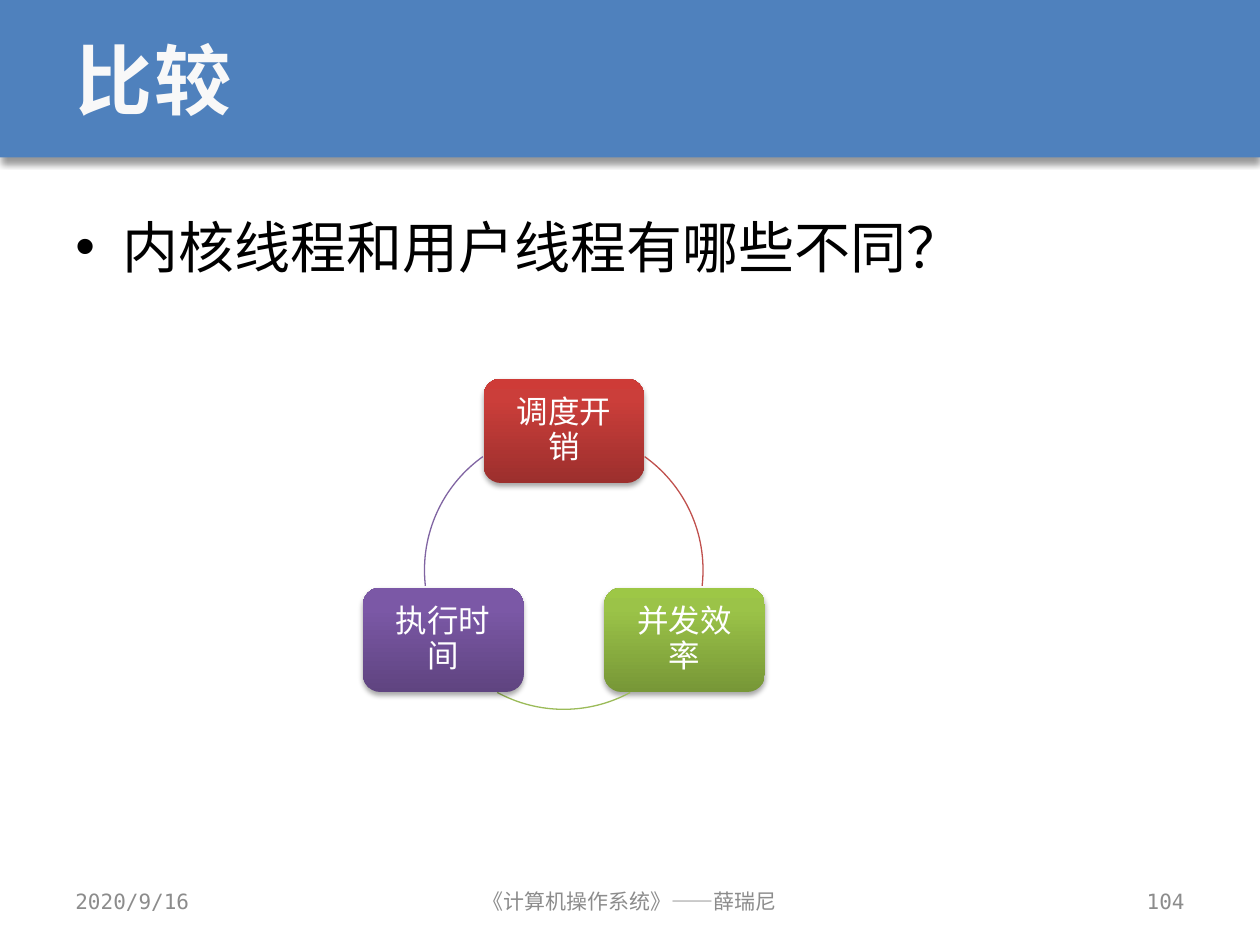
import copy
import math

from lxml import etree
from pptx import Presentation
from pptx import util as u
from pptx.dml.color import RGBColor
from pptx.enum import shapes, text
from pptx.oxml.ns import qn

# Content
TITLE = "比较"
QUESTION = "内核线程和用户线程有哪些不同？"
# label, gradient (bottom to top), arc colour, direction from centre, arc start and end
ASPECTS = [
    ("调度开销", ("9C2F2D", "CB3E3A", "CE3B37"), "C0504D", -90, (305.5, 6.5)),
    ("并发效率", ("779737", "9BC348", "9DC746"), "9BBB59", 30, (61.5, 118.5)),
    ("执行时间", ("5F4480", "7B58A6", "7C57A8"), "8064A2", 150, (173.5, 234.5)),
]
LEFT, CENTER, RIGHT = text.PP_ALIGN.LEFT, text.PP_ALIGN.CENTER, text.PP_ALIGN.RIGHT
FOOTER = [
    ("2020/9/16", 36, 168, LEFT),
    ("《计算机操作系统》——薛瑞尼", 246, 228, CENTER),
    ("104", 516, 168, RIGHT),
]

MONO = "DejaVu Sans Mono"
THEME = {
    "banner": "4F81BD",
    "title": {"name": MONO, "size": 44, "color": "F8F8F8", "bold": True},
    "question": {"name": MONO, "size": 32, "color": "000000"},
    "footer": {"name": MONO, "size": 12, "color": "8C8C8C"},
    "aspect": {"name": "Arial", "size": 18, "color": "FFFFFF"},
    # blur, distance, opacity in percent
    "banner_shadow": (4, 3, 40),
    "aspect_shadow": (3.1, 1.8, 35),
}

# Layout, in points
SLIDE_W, SLIDE_H, BANNER_H = 720, 540, 90
CYCLE_X, CYCLE_Y, CYCLE_R = 322.2, 325.8, 79.6
ASPECT_W, ASPECT_H = 91.8, 59.7
STOPS = (0, 0.8, 1)


def place(*lengths):
    return [u.Pt(length) for length in lengths]


def write(frame, words, style, align=LEFT, anchor=text.MSO_ANCHOR.MIDDLE):
    frame.word_wrap = True
    frame.vertical_anchor = anchor
    line = frame.paragraphs[0]
    line.alignment = align
    run = line.add_run()
    run.text = words
    formats = dict(style, size=u.Pt(style["size"]))
    run.font.color.rgb = RGBColor.from_string(formats.pop("color"))
    for key, value in formats.items():
        setattr(run.font, key, value)
    return line


def add_text(box, *args, **kwargs):
    return write(slide.shapes.add_textbox(*place(*box)).text_frame, *args, **kwargs)


def drop_shadow(shape, blur, distance, opacity):
    shape.shadow.inherit = False
    effects = shape._element.spPr.find(qn("a:effectLst"))
    shadow = etree.SubElement(effects, qn("a:outerShdw"), blurRad=str(u.Pt(blur)),
                              dist=str(u.Pt(distance)), dir="5400000", rotWithShape="0")
    color = etree.SubElement(shadow, qn("a:srgbClr"), val="000000")
    etree.SubElement(color, qn("a:alpha"), val=str(opacity * 1000))


def fill_gradient(shape, colors):
    shape.fill.gradient()
    shape.fill.gradient_angle = 90
    stop_list = shape._element.spPr.find(".//" + qn("a:gsLst"))
    stop_list.append(copy.deepcopy(stop_list[-1]))
    for stop, position, color in zip(shape.fill.gradient_stops, STOPS, colors):
        stop.position = position
        stop.color.rgb = RGBColor.from_string(color)


prs = Presentation()
prs.slide_width, prs.slide_height = place(SLIDE_W, SLIDE_H)
slide = prs.slides.add_slide(prs.slide_layouts[6])

# Banner and title
banner = slide.shapes.add_shape(shapes.MSO_SHAPE.RECTANGLE, *place(0, 0, SLIDE_W, BANNER_H))
banner.fill.solid()
banner.fill.fore_color.rgb = RGBColor.from_string(THEME["banner"])
banner.line.fill.background()
drop_shadow(banner, *THEME["banner_shadow"])
title = add_text((36, 0, 648, BANNER_H), TITLE, THEME["title"])
title.runs[0].font._element.set("spc", "150")

# Bulleted question
question = add_text((36, 106.5, 648, 384), QUESTION, THEME["question"],
                    anchor=text.MSO_ANCHOR.TOP)
question.line_spacing = 1.3
bullet_format = question._p.get_or_add_pPr()
bullet_format.set("marL", str(u.Pt(27)))
bullet_format.set("indent", str(u.Pt(-27)))
etree.SubElement(bullet_format, qn("a:buFont"), typeface="Arial")
etree.SubElement(bullet_format, qn("a:buChar"), char="•")

# Cycle of aspects, each box centred on the circle
for label, gradient, arc_color, direction, arc_angles in ASPECTS:
    angle = math.radians(direction)
    left = CYCLE_X + CYCLE_R * math.cos(angle) - ASPECT_W / 2
    top = CYCLE_Y + CYCLE_R * math.sin(angle) - ASPECT_H / 2
    aspect = slide.shapes.add_shape(shapes.MSO_SHAPE.ROUNDED_RECTANGLE,
                                    *place(left, top, ASPECT_W, ASPECT_H))
    fill_gradient(aspect, gradient)
    aspect.line.fill.background()
    drop_shadow(aspect, *THEME["aspect_shadow"])
    frame = aspect.text_frame
    for side in ("left", "right", "top", "bottom"):
        setattr(frame, f"margin_{side}", u.Pt(8))
    write(frame, label, THEME["aspect"], CENTER).line_spacing = 0.9

    arc = slide.shapes.add_shape(shapes.MSO_SHAPE.ARC, *place(
        CYCLE_X - CYCLE_R, CYCLE_Y - CYCLE_R, 2 * CYCLE_R, 2 * CYCLE_R))
    for index, degrees in enumerate(arc_angles):
        arc.adjustments[index] = degrees * 0.6  # 60000 units a degree, per 100000
    arc.fill.background()
    arc.line.color.rgb = RGBColor.from_string(arc_color)
    arc.line.width = u.Pt(0.75)
    arc.shadow.inherit = False

# Footer
for words, left, width, align in FOOTER:
    add_text((left, 500.5, width, 28.75), words, THEME["footer"], align)

prs.save("out.pptx")
